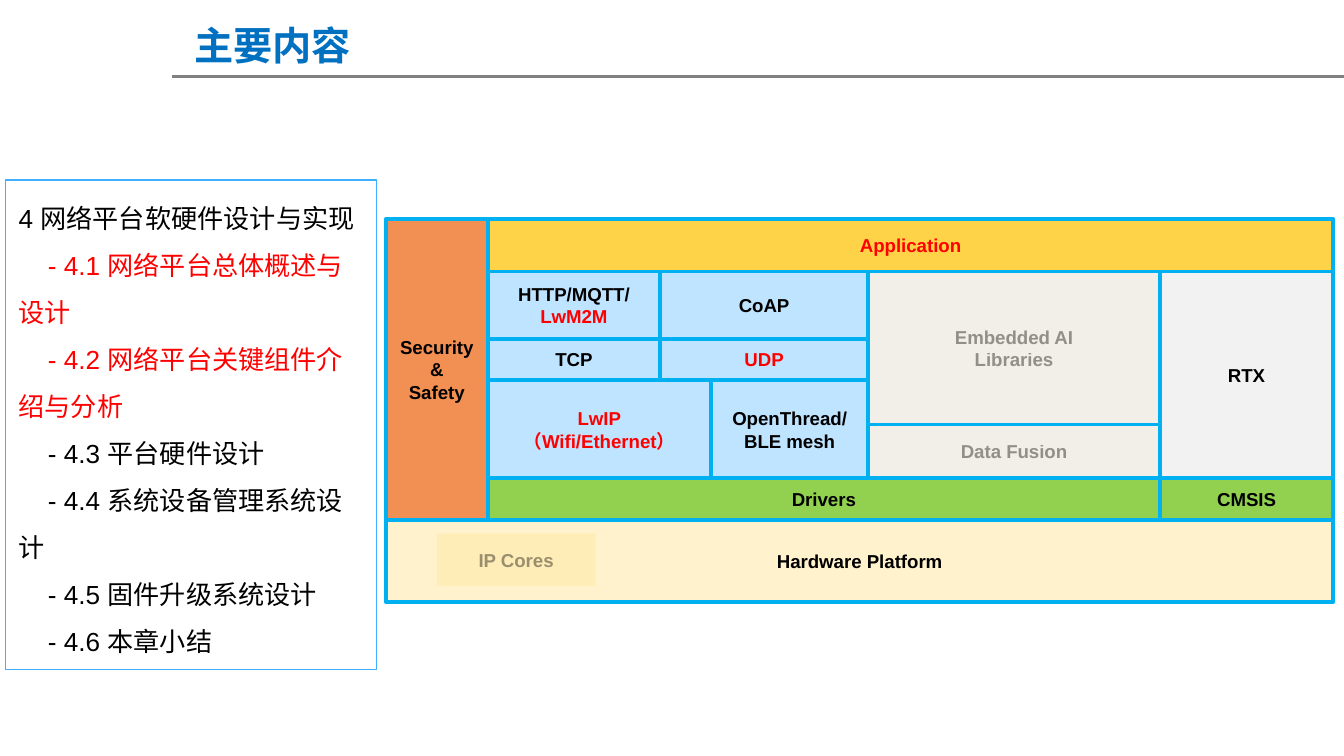
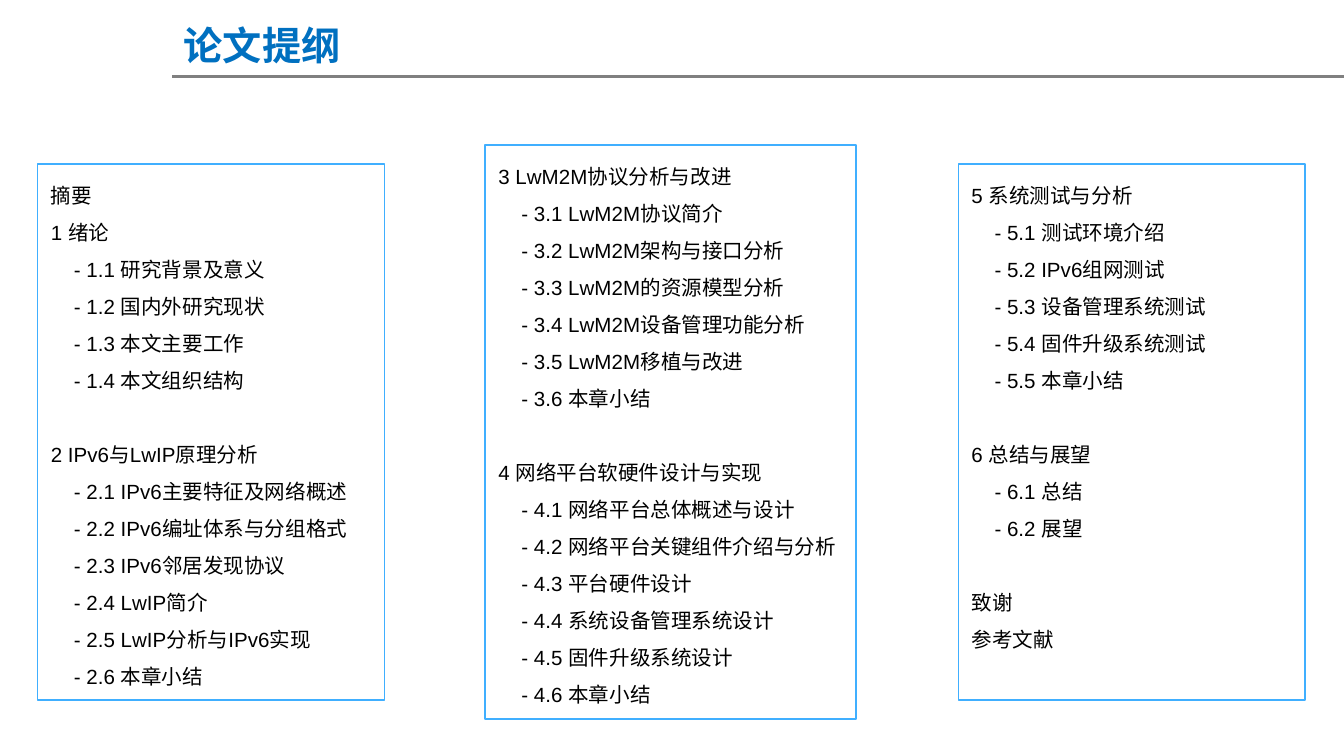
from lxml import etree
from pptx import Presentation
from pptx.dml.color import RGBColor
from pptx.enum.shapes import MSO_CONNECTOR, MSO_SHAPE
from pptx.enum.text import MSO_ANCHOR, PP_ALIGN
from pptx.oxml.ns import qn
from pptx.util import Inches, Pt

RECT, LINE = MSO_SHAPE.RECTANGLE, MSO_CONNECTOR.STRAIGHT
LEFT, CENTER = PP_ALIGN.LEFT, PP_ALIGN.CENTER
TOP, MIDDLE = MSO_ANCHOR.TOP, MSO_ANCHOR.MIDDLE

WIDE = 10
HIGH = WIDE * 9 / 16
FONT = "Arial"
BLACK, RED, BLUE, GRAY = "000000", "FF0000", "0070C0", "808080"
FRAME, EDGE = "40AFFF", "00B0F0"
SKY, GREEN, SAND = "BFE4FF", "92D050", "DDD9C3"
FAINT = 40  # opacity of the dimmed blocks, in percent

# Diagram grid: edges in inches from its top left corner
COLS = [0, 0.76, 2.04, 2.42, 3.59, 5.76, 7.05]
ROWS = [0, 0.39, 0.89, 1.2, 1.53, 1.93, 2.24, 2.85]

# Blocks: column from/to, row from/to, fill, opacity, lines of (text, colour)
BLOCKS = [
    (1, 6, 0, 1, "FFD347", 100, [("Application", RED)]),
    (0, 1, 0, 6, "F29054", 100,
     [("Security", BLACK), ("&", BLACK), ("Safety", BLACK)]),
    (1, 5, 5, 6, GREEN, 100, [("Drivers", BLACK)]),
    (5, 6, 5, 6, GREEN, 100, [("CMSIS", BLACK)]),
    (0, 6, 6, 7, "FFF2CC", 100, [("Hardware Platform", BLACK)]),
    (5, 6, 1, 5, "F2F2F2", 100, [("RTX", BLACK)]),
    (4, 5, 4, 5, SAND, FAINT, [("Data Fusion", BLACK)]),
    (4, 5, 1, 4, SAND, FAINT, [("Embedded AI", BLACK), ("Libraries", BLACK)]),
    (1, 3, 3, 5, SKY, 100, [("LwIP", RED), ("（Wifi/Ethernet）", RED)]),
    (3, 4, 3, 5, SKY, 100, [("OpenThread/", BLACK), ("BLE mesh", BLACK)]),
    (1, 2, 2, 3, SKY, 100, [("TCP", BLACK)]),
    (2, 4, 2, 3, SKY, 100, [("UDP", RED)]),
    (1, 2, 1, 2, SKY, 100, [("HTTP/MQTT/", BLACK), ("LwM2M", RED)]),
    (2, 4, 1, 2, SKY, 100, [("CoAP", BLACK)]),
]

# Chapters: heading, then its sections, numbered by rule
CHAPS = {
    1: ["绪论", "研究背景及意义", "国内外研究现状", "本文主要工作", "本文组织结构"],
    2: ["IPv6与LwIP原理分析", "IPv6主要特征及网络概述", "IPv6编址体系与分组格式",
        "IPv6邻居发现协议", "LwIP简介", "LwIP分析与IPv6实现", "本章小结"],
    3: ["LwM2M协议分析与改进", "LwM2M协议简介", "LwM2M架构与接口分析",
        "LwM2M的资源模型分析", "LwM2M设备管理功能分析", "LwM2M移植与改进", "本章小结"],
    4: ["网络平台软硬件设计与实现", "网络平台总体概述与设计", "网络平台关键组件介绍与分析",
        "平台硬件设计", "系统设备管理系统设计", "固件升级系统设计", "本章小结"],
    5: ["系统测试与分析", "测试环境介绍", "IPv6组网测试", "设备管理系统测试",
        "固件升级系统测试", "本章小结"],
    6: ["总结与展望", "总结", "展望"],
}


def paint(fill, color, alpha=100):
    """Set a solid fill, see-through below 100 percent."""
    fill.solid()
    fill.fore_color.rgb = RGBColor.from_string(color)
    if alpha < 100:
        tone = fill._xPr.find(qn("a:solidFill"))[0]
        etree.SubElement(tone, qn("a:alpha")).set("val", str(alpha * 1000))


def style(para, size, color, bold=False, alpha=100):
    for run in para.runs:
        font = run.font
        font.size, font.bold, font.name = Pt(size), bold, FONT
        paint(font.fill, color, alpha)
        east = etree.SubElement(run._r.get_or_add_rPr(), qn("a:ea"))
        east.set("typeface", FONT)


def inset(frame, side, top):
    frame.margin_left = frame.margin_right = Inches(side)
    frame.margin_top = frame.margin_bottom = Inches(top)


def rect(slide, box, fill=None, alpha=100, edge=None, width=2):
    shape = slide.shapes.add_shape(RECT, *map(Inches, box))
    shape.shadow.inherit = False
    if fill:
        paint(shape.fill, fill, alpha)
    else:
        shape.fill.background()
    if edge:
        paint(shape.line.fill, edge)
        shape.line.width = Pt(width)
    else:
        shape.line.fill.background()
    shape.text_frame.word_wrap = True
    return shape


def header(slide, text, box):
    # Rule under the title
    y = Inches(0.57)
    rule = slide.shapes.add_connector(LINE, Inches(1.28), y, Inches(WIDE), y)
    paint(rule.line.fill, GRAY)
    rule.line.width = Pt(2)
    etree.SubElement(rule._element.spPr, qn("a:effectLst"))
    # Title
    frame = slide.shapes.add_textbox(*map(Inches, box)).text_frame
    frame.word_wrap = True
    inset(frame, 0.07, 0.04)
    frame.text = text
    para = frame.paragraphs[0]
    para.alignment = CENTER
    style(para, 21, BLUE, True)


def block(slide, box, fill, alpha, lines, edge=EDGE):
    frame = rect(slide, box, fill, alpha, edge).text_frame
    frame.vertical_anchor = MIDDLE
    inset(frame, 0, 0.05)
    frame.text = "\n".join(text for text, _ in lines)
    for para, (_, color) in zip(frame.paragraphs, lines):
        para.alignment = CENTER
        style(para, 10, color, True, alpha)


def stack(slide, left, top):
    """Software layers on the shared grid."""
    for c1, c2, r1, r2, fill, alpha, lines in BLOCKS:
        box = (left + COLS[c1], top + ROWS[r1],
               COLS[c2] - COLS[c1], ROWS[r2] - ROWS[r1])
        block(slide, box, fill, alpha, lines)
    # Dimmed cores inside the hardware row
    cores = (left + COLS[1] / 2, top + ROWS[6] + 0.1, 1.18, 0.39)
    block(slide, cores, "FFE699", FAINT, [("IP Cores", BLACK)], None)


def chap(num):
    head, *subs = CHAPS[num]
    return [f"{num} {head}"] + [f"- {num}.{i} {sub}"
                                for i, sub in enumerate(subs, 1)]


def panel(slide, box, groups, size, hot=()):
    """Framed outline; a blank line's height parts the groups."""
    frame = rect(slide, box, edge=FRAME, width=0.75).text_frame
    frame.vertical_anchor = TOP
    frame.text = "\n".join(line for group in groups for line in group)
    starts = {sum(map(len, groups[:i])) for i in range(1, len(groups))}
    for i, para in enumerate(frame.paragraphs):
        para.alignment = LEFT
        para.line_spacing = 1.5
        if i in starts:
            para.space_before = Pt(size * 1.8)
        if para.text.startswith("-"):
            indent = Pt(size * 1.12)  # first line only
            para._p.get_or_add_pPr().set("indent", str(int(indent)))
        style(para, size, RED if i in hot else BLACK)


def main():
    deck = Presentation()
    deck.slide_width, deck.slide_height = Inches(WIDE), Inches(HIGH)
    blank = deck.slide_layouts[6]

    # Current chapter beside the platform diagram
    slide = deck.slides.add_slide(blank)
    header(slide, "主要内容", (1.26, 0.12, 1.54, 0.43))
    panel(slide, (0.04, 1.34, 2.76, 3.64), [chap(4)], 14, hot=(1, 2))
    stack(slide, 2.87, 1.63)

    # Whole outline in three panels
    slide = deck.slides.add_slide(blank)
    header(slide, "论文提纲", (1.26, 0.12, 1.38, 0.43))
    panel(slide, (0.28, 1.22, 2.58, 3.99), [["摘要"] + chap(1), chap(2)], 11)
    panel(slide, (3.61, 1.08, 2.76, 4.27), [chap(3), chap(4)], 11)
    panel(slide, (7.13, 1.22, 2.58, 3.99),
          [chap(5), chap(6), ["致谢", "参考文献"]], 11)

    deck.save("out.pptx")


if __name__ == "__main__":
    main()
